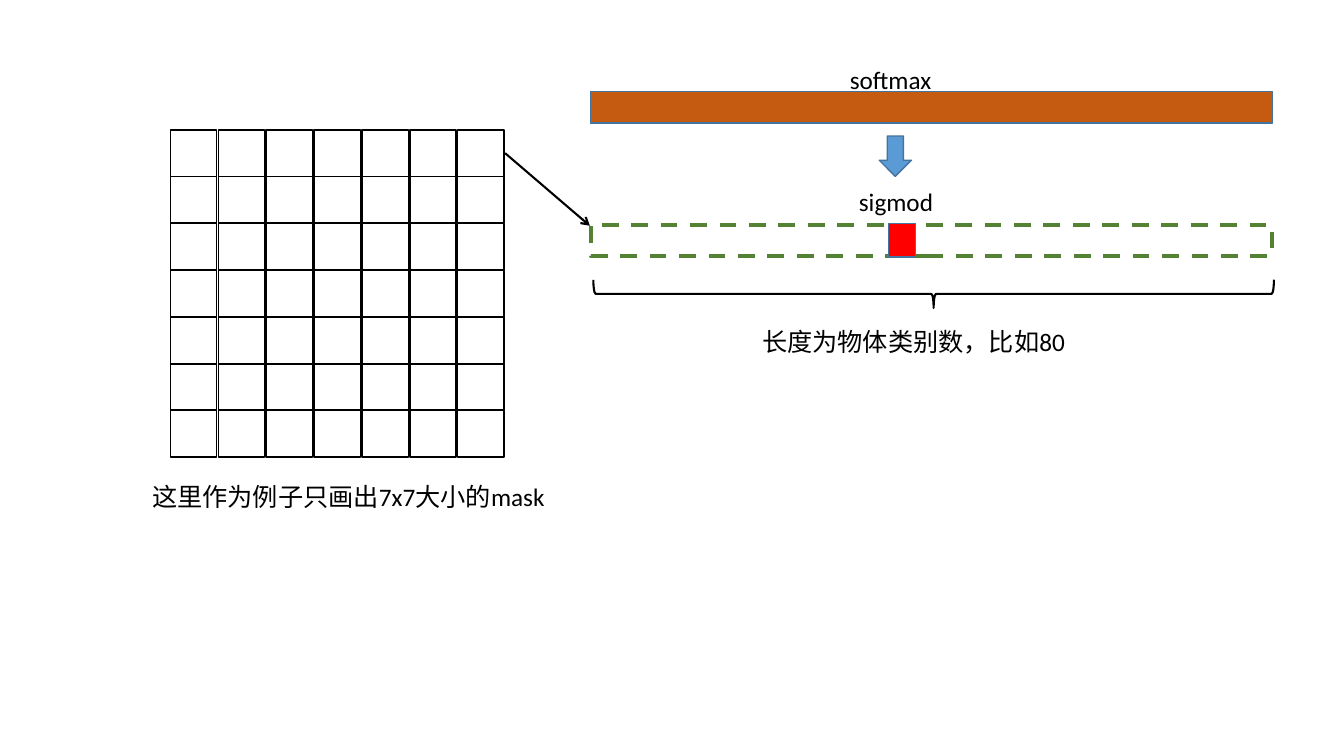
"""Build a slide showing a 7x7 mask and its per-class vector."""
from lxml import etree
from pptx import Presentation
from pptx.dml.color import RGBColor
from pptx.enum.dml import MSO_LINE
from pptx.enum.shapes import MSO_CONNECTOR, MSO_SHAPE
from pptx.oxml.ns import qn
from pptx.util import Inches, Pt

RECT = MSO_SHAPE.RECTANGLE
DOWN = MSO_SHAPE.DOWN_ARROW
BRACE = MSO_SHAPE.LEFT_BRACE
LINE = MSO_CONNECTOR.STRAIGHT
DASH = MSO_LINE.DASH

BLACK, EDGE = "000000", "43739E"
COUNT, CELL = 7, 0.46
GRID_X, GRID_Y = 1.69, 1.29
STEP_X, STEP_Y = 0.475, 0.464
BAR_X, BAR_W, BAR_H = 5.86, 6.76, 0.31

LABELS = [
    ("softmax", 8.33, 0.59, 1.25),
    ("sigmod", 8.42, 1.8, 1.25),
    ("长度为物体类别数，比如80", 7.46, 3.19, 3.98),
    ("这里作为例子只画出7x7大小的mask", 1.41, 4.73, 4.42),
]


def color(text):
    return RGBColor.from_string(text)


def draw(kind, box, fill=None, edge=EDGE, width=1):
    shape = slide.shapes.add_shape(kind, *map(Inches, box))
    shape.shadow.inherit = False
    if fill:
        shape.fill.solid()
        shape.fill.fore_color.rgb = color(fill)
    else:
        shape.fill.background()
    shape.line.color.rgb = color(edge)
    shape.line.width = Pt(width)
    return shape


def label(text, x, y, w):
    box = slide.shapes.add_textbox(*map(Inches, (x, y, w, 0.42)))
    box.text_frame.word_wrap = True
    run = box.text_frame.paragraphs[0].add_run()
    run.text = text
    run.font.name = "Calibri"
    run.font.size = Pt(18)
    run.font.color.rgb = color(BLACK)


def arrow(start, end):
    link = slide.shapes.add_connector(LINE, *map(Inches, start + end))
    link.line.color.rgb = color(BLACK)
    link.line.width = Pt(1.5)
    tail = etree.SubElement(link.line._get_or_add_ln(), qn("a:tailEnd"))
    tail.set("type", "arrow")
    etree.SubElement(link._element.spPr, qn("a:effectLst"))


deck = Presentation()
deck.slide_width, deck.slide_height = Inches(13.33), Inches(7.5)
slide = deck.slides.add_slide(deck.slide_layouts[6])

for row in range(COUNT):
    for col in range(COUNT):
        draw(RECT, (GRID_X + col * STEP_X, GRID_Y + row * STEP_Y, CELL, CELL),
             edge=BLACK)

draw(RECT, (BAR_X, 0.91, BAR_W, BAR_H), "C55A11")
vector = draw(RECT, (BAR_X, 2.23, BAR_W, BAR_H), "FFFFFF", "548235", 3)
vector.line.dash_style = DASH

brace = draw(BRACE, (9.12, -0.46, 0.28, 6.75), edge=BLACK, width=1.5)
brace.rotation = 270
brace.adjustments[0] = 0.08
brace.adjustments[1] = 0.5

for item in LABELS:
    label(*item)

draw(DOWN, (8.72, 1.35, 0.32, 0.4), "5B9BD5")
arrow((5.01, 1.52), (5.85, 2.24))
draw(RECT, (8.81, 2.22, 0.27, 0.33), "FF0000")

deck.save("out.pptx")
